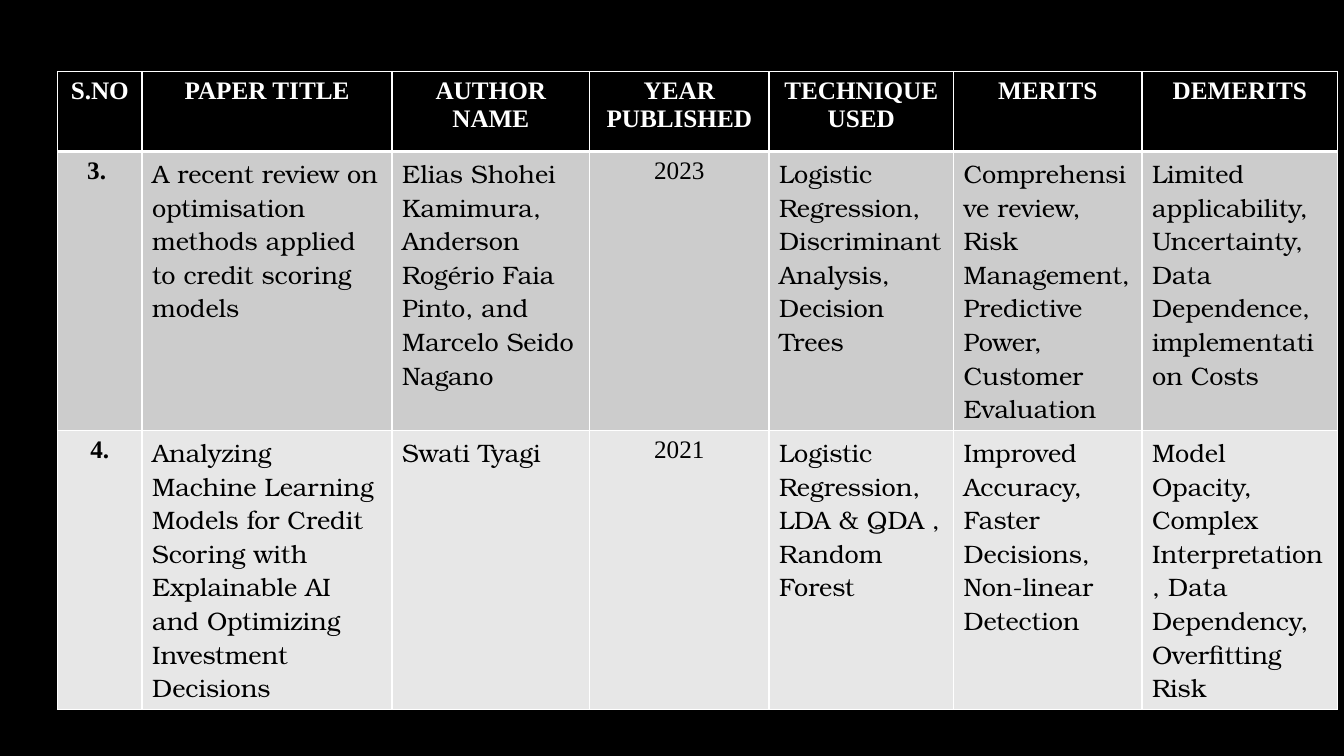
from lxml.etree import SubElement
from pptx import Presentation
from pptx.dml.color import RGBColor
from pptx.enum.text import PP_ALIGN
from pptx.oxml.ns import qn
from pptx.util import Cm, Pt

BLACK, WHITE = "000000", "FFFFFF"
ROW_FILLS = [BLACK, "CCCCCC", "E7E7E7"]
COLUMN_WIDTHS = [2.13, 6.3, 4.98, 4.52, 4.65, 4.75, 4.93]
ROW_HEIGHTS = [2.01, 7.03, 7.03]
CENTRED_COLUMNS = (0, 3)

PAPERS = [
    ["S.NO", "PAPER TITLE", "AUTHOR NAME", "YEAR PUBLISHED",
     "TECHNIQUE USED", "MERITS", "DEMERITS"],
    ["3. ",
     "A recent review on optimisation methods applied to credit scoring models",
     "Elias Shohei Kamimura, Anderson Rogério Faia Pinto, and Marcelo Seido Nagano",
     "2023",
     "Logistic Regression, Discriminant Analysis, Decision Trees",
     "Comprehensive review, Risk Management, Predictive Power, Customer Evaluation",
     "Limited applicability, Uncertainty, Data Dependence, implementation Costs"],
    ["4.",
     "Analyzing Machine Learning Models for Credit Scoring with Explainable AI "
     "and Optimizing Investment Decisions",
     "Swati Tyagi",
     "2021",
     "Logistic Regression, LDA & QDA , Random Forest",
     "Improved Accuracy, Faster Decisions, Non-linear Detection",
     "Model Opacity, Complex Interpretation, Data Dependency, Overfitting Risk"],
]


def paint(fill, colour):
    fill.solid()
    fill.fore_color.rgb = RGBColor.from_string(colour)


def add_borders(cell, widths):
    properties = cell._tc.get_or_add_tcPr()
    for side, width in widths.items():
        border = SubElement(properties, qn(f"a:ln{side}"), w=str(Pt(width)))
        stroke = SubElement(border, qn("a:solidFill"))
        SubElement(stroke, qn("a:srgbClr"), val=WHITE)


def write_cell(cell, words, centred, colour, font_format):
    paragraph = cell.text_frame.paragraphs[0]
    paragraph.alignment = PP_ALIGN.CENTER if centred else PP_ALIGN.LEFT
    run = paragraph.add_run()
    run.text = words
    for attribute, value in font_format.items():
        setattr(run.font, attribute, value)
    paint(run.font.fill, colour)


def add_paper_table(slide):
    papers = slide.shapes.add_table(
        len(PAPERS), len(COLUMN_WIDTHS), Cm(1.45), Cm(1.81),
        Cm(sum(COLUMN_WIDTHS)), Cm(sum(ROW_HEIGHTS))).table
    for column, width in zip(papers.columns, COLUMN_WIDTHS):
        column.width = Cm(width)
    for row, height in zip(papers.rows, ROW_HEIGHTS):
        row.height = Cm(height)

    for r, entries in enumerate(PAPERS):
        heading = r == 0
        for c, words in enumerate(entries):
            cell = papers.cell(r, c)
            centred = heading or c in CENTRED_COLUMNS
            add_borders(cell, {"L": 1, "R": 1, "T": 3 if r == 1 else 1,
                               "B": 3 if heading else 1})
            paint(cell.fill, ROW_FILLS[r])
            write_cell(cell, words, centred, WHITE if heading else BLACK, {
                "name": "Times New Roman" if centred else "TeX Gyre Bonum",
                "size": Pt(18),
                "bold": heading or c == 0,
            })


def main():
    deck = Presentation()
    deck.slide_width, deck.slide_height = Cm(33.87), Cm(19.05)
    slide = deck.slides.add_slide(deck.slide_layouts[6])
    paint(slide.background.fill, BLACK)
    add_paper_table(slide)
    deck.save("out.pptx")


if __name__ == "__main__":
    main()
